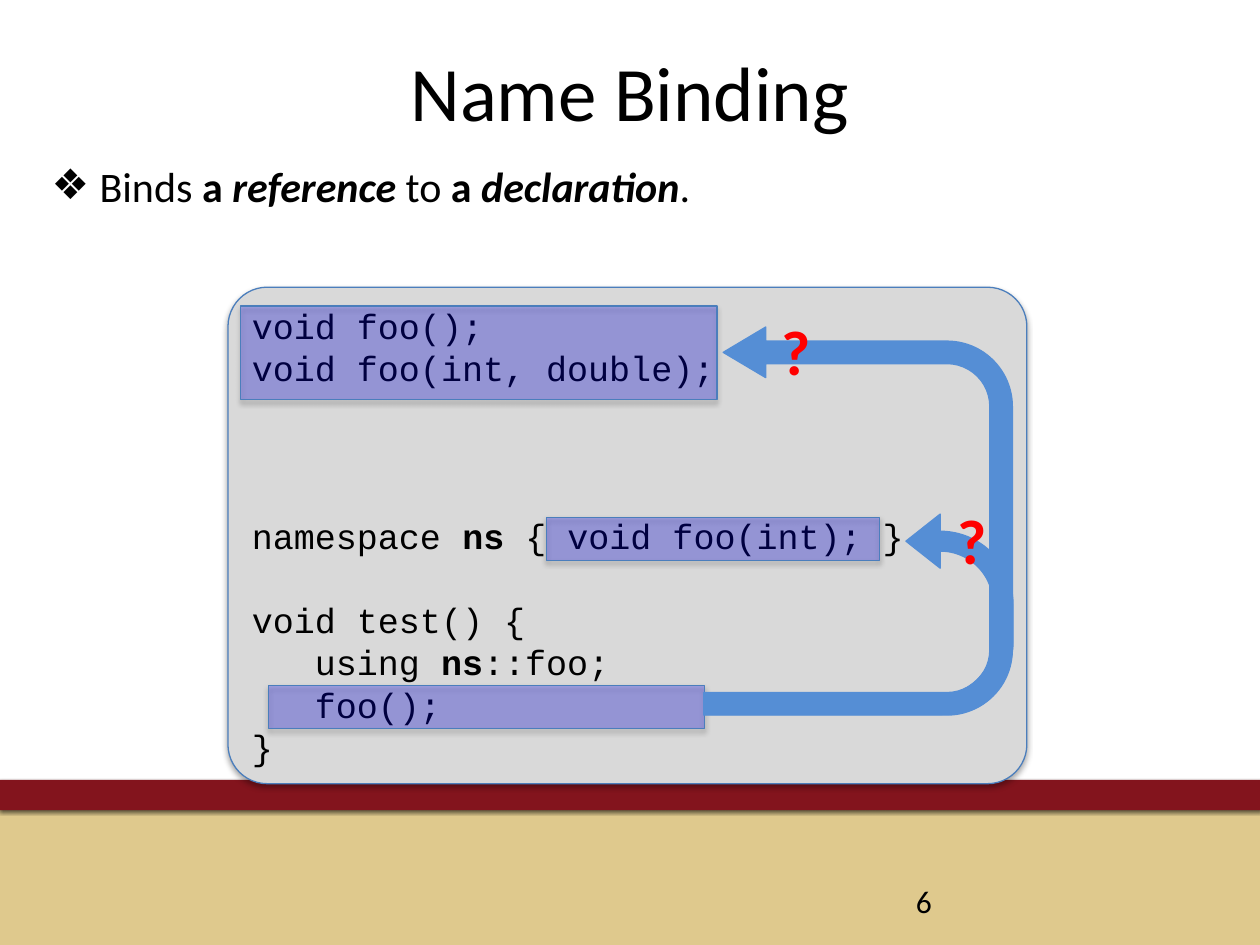
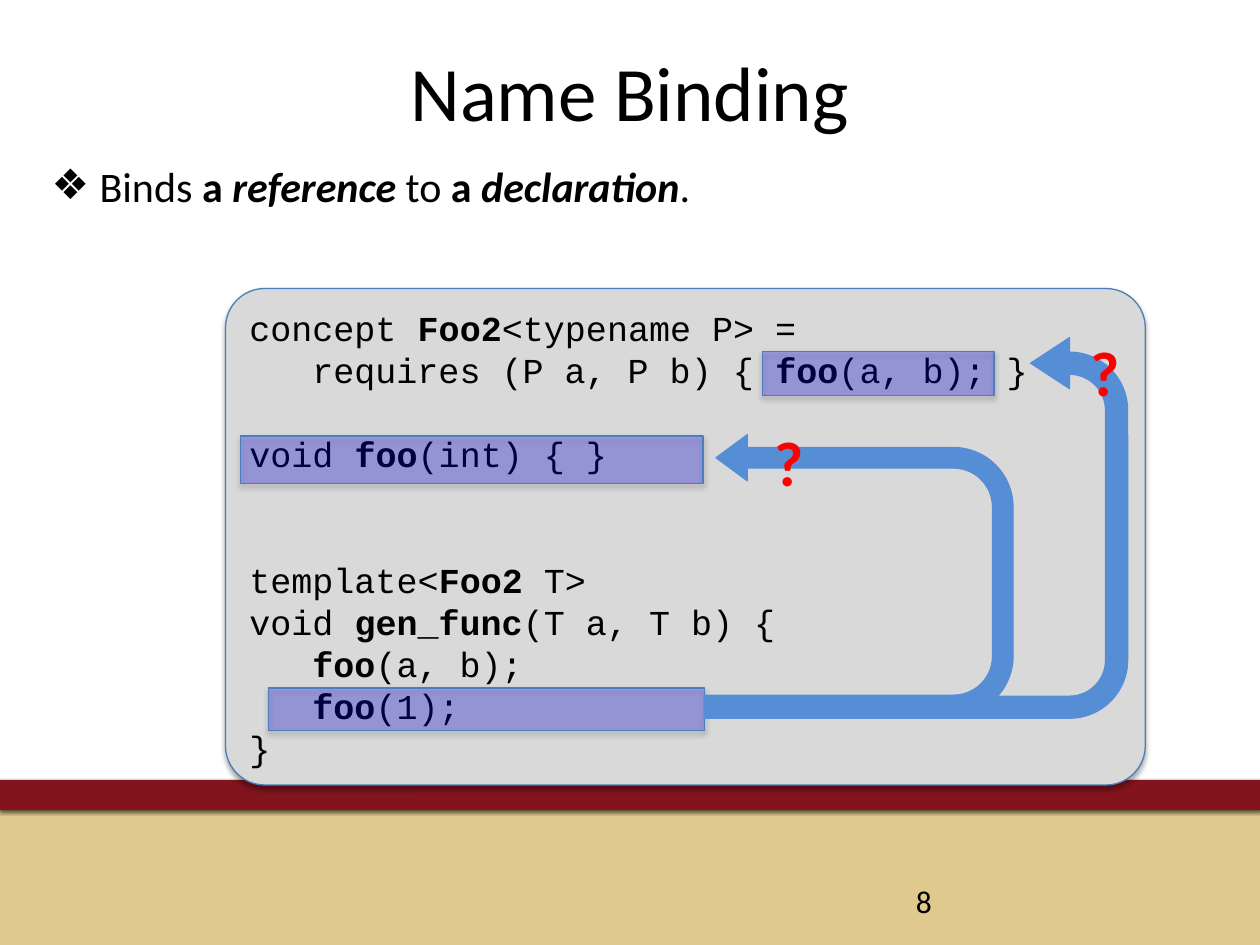
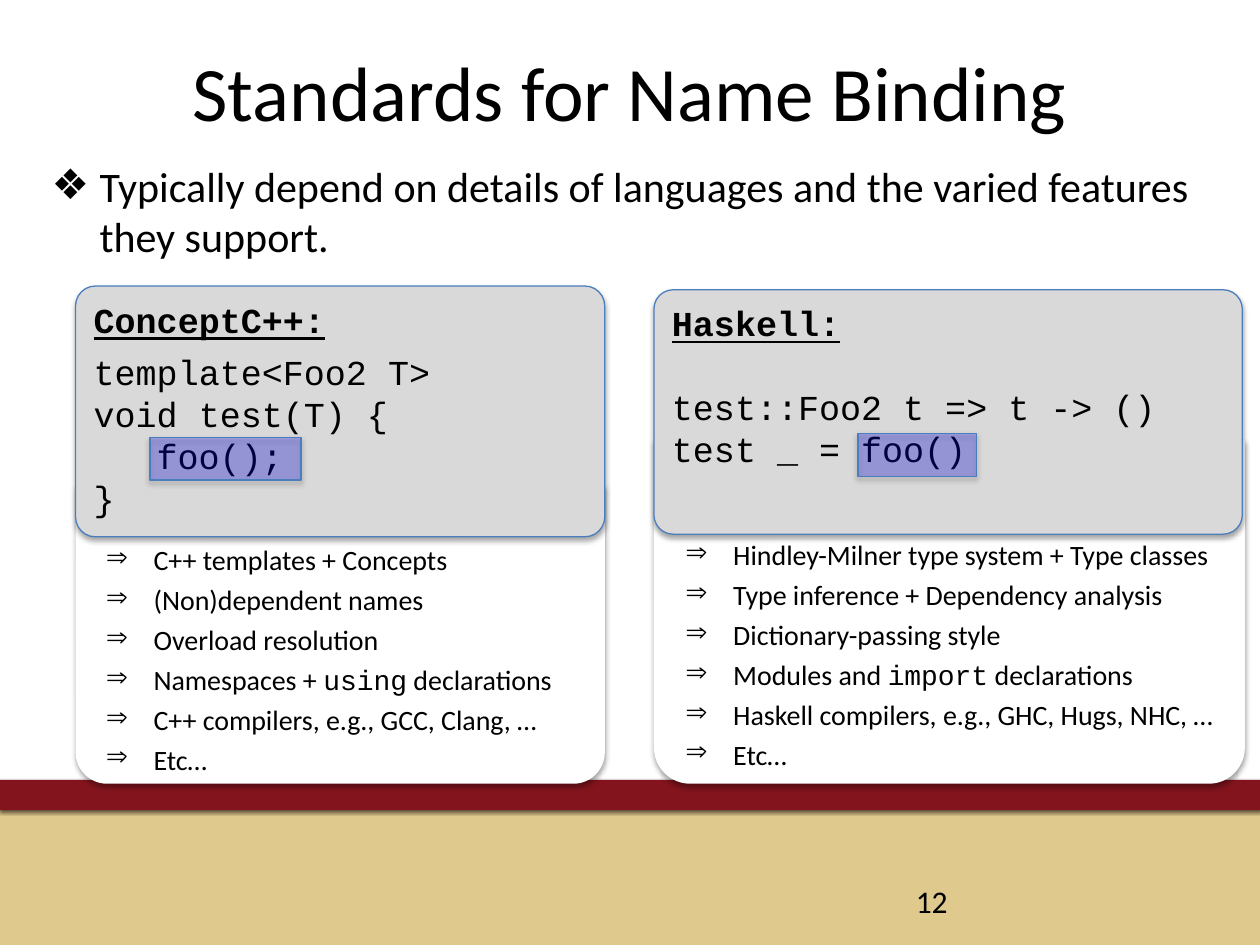
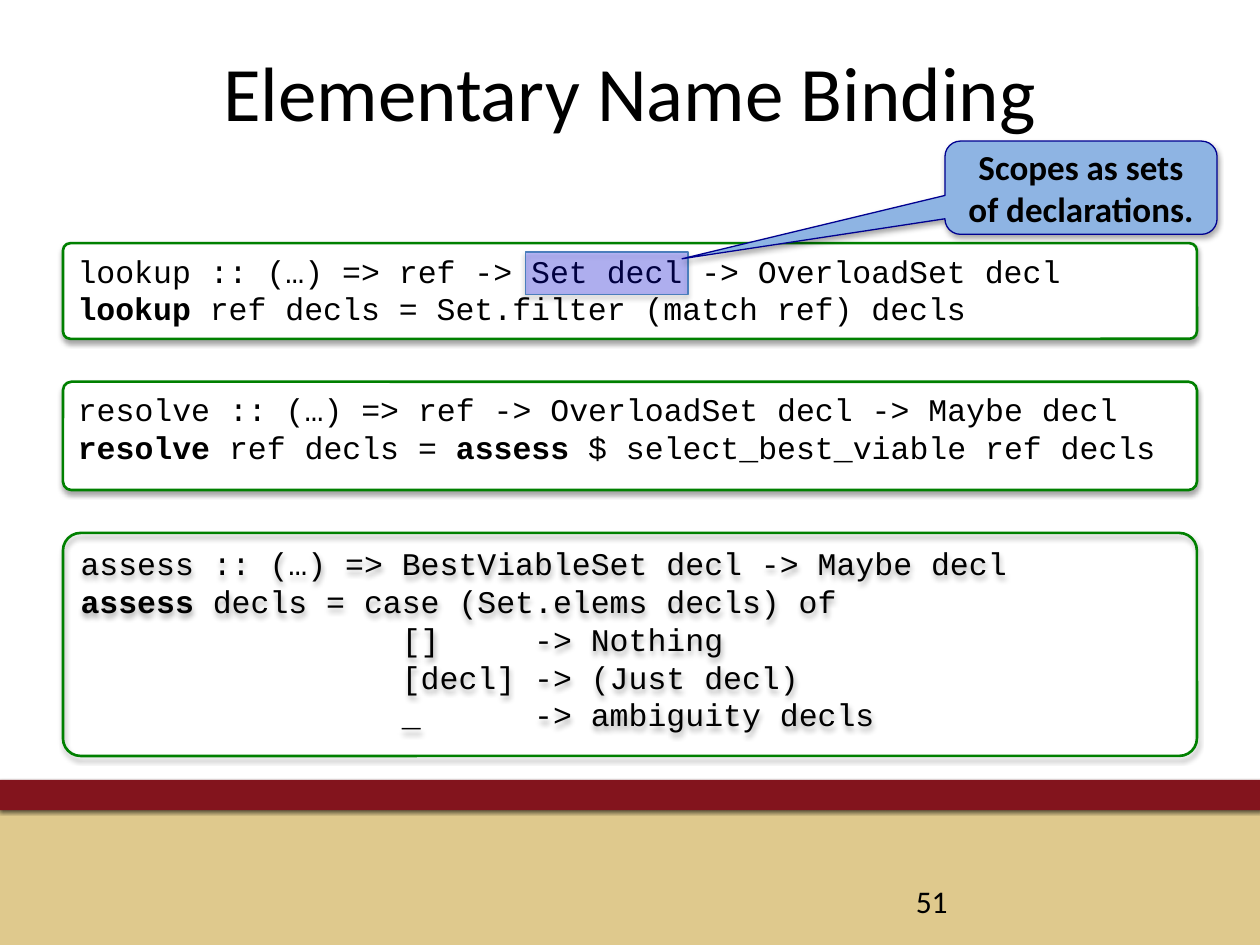
import pptx
import pptx.dml.color
import pptx.enum.shapes
import pptx.enum.text
import pptx.oxml
import pptx.oxml.ns
import pptx.util
from lxml import etree

Inches = pptx.util.Inches
Pt = pptx.util.Pt
RGBColor = pptx.dml.color.RGBColor
SHAPE = pptx.enum.shapes.MSO_SHAPE
ALIGN = pptx.enum.text.PP_ALIGN
ANCHOR = pptx.enum.text.MSO_ANCHOR
qn = pptx.oxml.ns.qn

BLACK = RGBColor(0x00, 0x00, 0x00)
WHITE = RGBColor(0xFF, 0xFF, 0xFF)
SAND = RGBColor(0xDF, 0xC9, 0x8D)
MAROON = RGBColor(0x83, 0x14, 0x1D)
GREY = RGBColor(0xD9, 0xD9, 0xD9)
OUTLINE = RGBColor(0x4B, 0x7E, 0xBC)
HIGHLIGHT = RGBColor(0x00, 0x00, 0xFF)
ARROW = RGBColor(0x55, 0x8E, 0xD5)
RED = RGBColor(0xFF, 0x00, 0x00)
GREEN = RGBColor(0x00, 0x80, 0x00)
CALLOUT = RGBColor(0x8E, 0xB4, 0xE3)
NAVY = RGBColor(0x00, 0x00, 0x90)

TEXT_FONT = "Calibri"
CODE_FONT = "Courier New"
SOFT_SHADOW = (35, 3.1, 1.8, 90)
BAND_SHADOW = (60, 2, 1, 105)
CORNER = (0.079,)


def add_shape(shapes, kind, place, fill=None, line=None, width=0.75,
              adjustments=(), shadow=SOFT_SHADOW, opacity=100):
    shape = shapes.add_shape(kind, *[Inches(length) for length in place])
    for index, value in enumerate(adjustments):
        shape.adjustments[index] = value
    if fill is None:
        shape.fill.background()
    else:
        shape.fill.solid()
        shape.fill.fore_color.rgb = fill
        if opacity < 100:
            color = shape.element.spPr.find(".//" + qn("a:srgbClr"))
            etree.SubElement(color, qn("a:alpha"), val=str(opacity * 1000))
    if line is None:
        shape.line.fill.background()
    else:
        shape.line.color.rgb = line
        shape.line.width = Pt(width)
    shape.shadow.inherit = False
    if shadow:
        alpha, blur, distance, angle = shadow
        effects = shape.element.spPr.find(qn("a:effectLst"))
        outer = etree.SubElement(
            effects, qn("a:outerShdw"), blurRad=str(Pt(blur)), dist=str(Pt(distance)),
            dir=str(angle * 60000), algn="t", rotWithShape="0")
        color = etree.SubElement(outer, qn("a:srgbClr"), val="000000")
        etree.SubElement(color, qn("a:alpha"), val=str(alpha * 1000))
    return shape


def add_paragraph(frame, runs, size, font=TEXT_FONT, color=BLACK, before=0,
                  bullet=None, align=ALIGN.LEFT):
    paragraph = frame.paragraphs[0]
    if paragraph.runs:
        paragraph = frame.add_paragraph()
    properties = paragraph._p.get_or_add_pPr()
    if bullet:
        properties.set("marL", str(Inches(0.38)))
        properties.set("indent", str(-Inches(0.38)))
        etree.SubElement(properties, qn("a:buChar"), char=bullet)
    if font == CODE_FONT:
        tabs = etree.SubElement(properties, qn("a:tabLst"))
        etree.SubElement(tabs, qn("a:tab"), pos=str(Inches(0.5)), algn="l")
        paragraph.line_spacing = Pt(size * 1.2)
    paragraph.alignment = align
    paragraph.space_before = Pt(before)
    for text, style in runs:
        run = paragraph.add_run()
        run.text = text
        run.font.size = Pt(size)
        run.font.name = CODE_FONT if "c" in style else font
        run.font.color.rgb = color
        run.font.bold = "b" in style
        run.font.italic = "i" in style
        run.font.underline = "u" in style
    return paragraph


presentation = pptx.Presentation()
presentation.slide_width = Inches(10)
presentation.slide_height = Inches(7.5)

binding_intro = [("Binds ", ""), ("a ", "b"), ("reference ", "bi"), ("to ", ""),
                 ("a ", "b"), ("declaration", "bi"), (".", "")]
standards_intro = [("Typically depend on details of languages and the varied "
                    "features they support.", "")]
headings = [
    ("Name Binding", "6", binding_intro),
    ("Name Binding", "8", binding_intro),
    ("Standards for Name Binding", "12", standards_intro),
    ("Elementary Name Binding", "51", None),
]

slides = []
for title_text, number, intro in headings:
    layout = presentation.slide_layouts[1 if intro else 5]
    slide = presentation.slides.add_slide(layout)
    slides.append(slide)
    title = slide.shapes.title
    title.left, title.top = Inches(0.5), Inches(0.3)
    title.width, title.height = Inches(9), Inches(1.25)
    title.text_frame.vertical_anchor = ANCHOR.TOP
    add_paragraph(title.text_frame, [(title_text, "")], 44, align=ALIGN.CENTER)
    if intro:
        body = slide.placeholders[1]
        body.left, body.top = Inches(0.31), Inches(1.22)
        body.width, body.height = Inches(9.37), Inches(5.39)
        body.text_frame.auto_size = pptx.enum.text.MSO_AUTO_SIZE.NONE
        add_paragraph(body.text_frame, intro, 24, bullet="❖")
    number_box = slide.shapes.add_textbox(Inches(7.17), Inches(6.95), Inches(2.33), Inches(0.4))
    number_box.text_frame.word_wrap = True
    number_box.text_frame.vertical_anchor = ANCHOR.MIDDLE
    add_paragraph(number_box.text_frame, [(number, "")], 18)

bands = [((0, 6.43, 10, 1.07), SAND, None), ((0, 6.19, 10.01, 0.24), MAROON, BAND_SHADOW)]
for index, (place, fill, shadow) in enumerate(bands):
    band = add_shape(slides[0].shapes, SHAPE.RECTANGLE, place, fill, shadow=shadow)
    band.element.nvSpPr.cNvPr.id = 101 + index
    presentation.slide_master.shapes.element.insert(2 + index, band.element)

overload_code = [
    (0, [("void foo();", "")]),
    (0, [("void foo(int, double);", "")]),
    (72, [("namespace ", ""), ("ns", "b"), (" { void foo(int); }", "")]),
    (24, [("void test() {", "")]),
    (0, [("\tusing ", ""), ("ns", "b"), ("::foo;", "")]),
    (0, [("\tfoo();", "")]),
    (0, [("}", "")]),
]
concept_code = [
    (0, [("concept ", ""), ("Foo2", "b"), ("<typename P> =", "")]),
    (0, [("\trequires (P a, P b) { ", ""), ("foo", "b"), ("(a, b); }", "")]),
    (24, [("void ", ""), ("foo", "b"), ("(int) { }", "")]),
    (48, [("template<", ""), ("Foo2 ", "b"), ("T>", "")]),
    (0, [("void ", ""), ("gen_func", "b"), ("(T a, T b) {", "")]),
    (0, [("\t", ""), ("foo", "b"), ("(a, b);", "")]),
    (0, [("\t", ""), ("foo", "b"), ("(1);", "")]),
    (0, [("}", "")]),
]
cpp_code = [
    (0, [("ConceptC++:", "bu")]),
    (6, [("template<Foo2 T>", "")]),
    (0, [("void test(T) {", "")]),
    (0, [("\tfoo();", "")]),
    (0, [("}", "")]),
]
haskell_code = [
    (0, [("Haskell:", "bu")]),
    (24, [("test::Foo2 t => t -> ()", "")]),
    (0, [("test _ = foo()", "")]),
]
lookup_code = [
    (0, [("lookup :: (…) => ref -> Set decl -> OverloadSet decl", "")]),
    (0, [("lookup", "b"), (" ref decls = Set.filter (match ref) decls", "")]),
]
resolve_code = [
    (0, [("resolve :: (…) => ref -> OverloadSet decl -> Maybe decl", "")]),
    (0, [("resolve", "b"), (" ref decls = ", ""), ("assess", "b"),
         (" $ select_best_viable ref decls", "")]),
]
assess_code = [
    (0, [("assess :: (…) => BestViableSet decl -> Maybe decl", "")]),
    (0, [("assess ", "b"), ("decls = case (Set.elems decls) of", "")]),
    (0, [("                 []     -> Nothing", "")]),
    (0, [("                 [decl] -> (Just decl)", "")]),
    (0, [("                 _      -> ambiguity decls", "")]),
]

feature_cards = [
    ((5.19, 3.49, 4.69, 2.73), (5.28, 3.49, 4.5, 2.65), 0.81, [
        [("Hindley-Milner type system + Type classes", "")],
        [("Type inference + Dependency analysis", "")],
        [("Dictionary-passing style", "")],
        [("Modules and ", ""), ("import", "c"), (" declarations", "")],
        [("Haskell compilers, e.g., GHC, Hugs, NHC, …", "")],
        [("Etc…", "")],
    ]),
    ((0.6, 3.85, 4.2, 2.37), (0.68, 3.85, 4.03, 2.3), 0.49, [
        [("C++ templates + Concepts", "")],
        [("(Non)dependent names", "")],
        [("Overload resolution", "")],
        [("Namespaces + ", ""), ("using", "c"), (" declarations", "")],
        [("C++ compilers, e.g., GCC, Clang, …", "")],
        [("Etc…", "")],
    ]),
]
for card_place, list_place, top_margin, features in feature_cards:
    group = slides[2].shapes.add_group_shape()
    card = add_shape(group.shapes, SHAPE.ROUND_2_SAME_RECTANGLE, card_place, WHITE,
                     adjustments=(0.105, 0))
    card.rotation = 180
    feature_list = group.shapes.add_textbox(*[Inches(length) for length in list_place])
    frame = feature_list.text_frame
    frame.word_wrap = True
    frame.margin_left = Inches(0.16)
    frame.margin_right = frame.margin_bottom = Inches(0.05)
    frame.margin_top = Inches(top_margin)
    for feature in features:
        paragraph = add_paragraph(frame, feature, 16, bullet="⇒")
        paragraph.line_spacing = 0.9
        paragraph.space_after = Pt(5.5)

code_panels = [
    (0, (1.81, 2.28, 6.34, 3.94), GREY, OUTLINE, 0.75, 20, overload_code),
    (1, (1.79, 2.29, 7.3, 3.94), GREY, OUTLINE, 0.75, 20, concept_code),
    (2, (0.6, 2.27, 4.2, 1.99), GREY, OUTLINE, 0.75, 20, cpp_code),
    (2, (5.19, 2.3, 4.67, 1.94), GREY, OUTLINE, 0.75, 20, haskell_code),
    (3, (0.5, 3.03, 9, 0.86), WHITE, GREEN, 1.5, 18, resolve_code),
    (3, (0.5, 1.93, 9, 0.76), WHITE, GREEN, 1.5, 18, lookup_code),
    (3, (0.5, 4.23, 9, 1.77), None, GREEN, 1.5, 18, assess_code),
]
for index, place, fill, line, width, size, code in code_panels:
    panel = add_shape(slides[index].shapes, SHAPE.ROUNDED_RECTANGLE, place, fill, line,
                      width, CORNER)
    panel.text_frame.vertical_anchor = ANCHOR.TOP
    for before, runs in code:
        add_paragraph(panel.text_frame, runs, size, CODE_FONT, before=before)

highlights = [
    (0, (1.91, 2.43, 3.78, 0.74)),
    (0, (2.13, 5.44, 3.46, 0.34)),
    (0, (4.34, 4.11, 2.64, 0.34)),
    (1, (1.91, 3.46, 3.67, 0.38)),
    (1, (2.13, 5.46, 3.46, 0.34)),
    (1, (6.05, 2.79, 1.84, 0.35)),
    (2, (1.19, 3.47, 1.2, 0.34)),
    (2, (6.81, 3.44, 0.94, 0.34)),
    (3, (4.17, 2, 1.29, 0.34)),
]
for index, place in highlights:
    add_shape(slides[index].shapes, SHAPE.RECTANGLE, place, HIGHLIGHT, OUTLINE, opacity=25)

binding_arrows = [
    (0, (6.02, 3.65, 1.59, 2.45), (0.099, 0.135, 0.171, 0.438, 0.347)),
    (0, (5.27, 2.91, 3.08, 2.45), (0.073, 0.082, 0.138, 0.212, 0.937)),
    (1, (5.7, 3.34, 2.23, 2.45), (0.073, 0.082, 0.111, 0.212, 0.962)),
    (1, (5.76, 2.51, 3.02, 3.36), (0.058, 0.067, 0.102, 0.212, 0.229)),
]
for index, place, adjustments in binding_arrows:
    arrow = add_shape(slides[index].shapes, SHAPE.U_TURN_ARROW, place, ARROW, ARROW,
                      adjustments=adjustments, shadow=None)
    arrow.rotation = 90
    arrow.element.spPr.find(qn("a:xfrm")).set("flipH", "1")

question_marks = [(0, 6.1, 2.43), (0, 7.5, 3.93), (1, 8.56, 2.6), (1, 6.05, 3.31)]
for index, left, top in question_marks:
    question = slides[index].shapes.add_textbox(Inches(left), Inches(top), Inches(0.52), Inches(0.71))
    question.text_frame.word_wrap = True
    add_paragraph(question.text_frame, [("?", "b")], 36, color=RED)

callout = add_shape(slides[3].shapes, SHAPE.ROUNDED_RECTANGULAR_CALLOUT, (7.5, 1.12, 2.16, 0.74),
                    CALLOUT, NAVY, adjustments=(-1.466, 0.762, 0.167))
callout.text_frame.vertical_anchor = ANCHOR.MIDDLE
add_paragraph(callout.text_frame, [("Scopes as sets of declarations.", "b")], 20,
              align=ALIGN.CENTER)

presentation.save("out.pptx")
